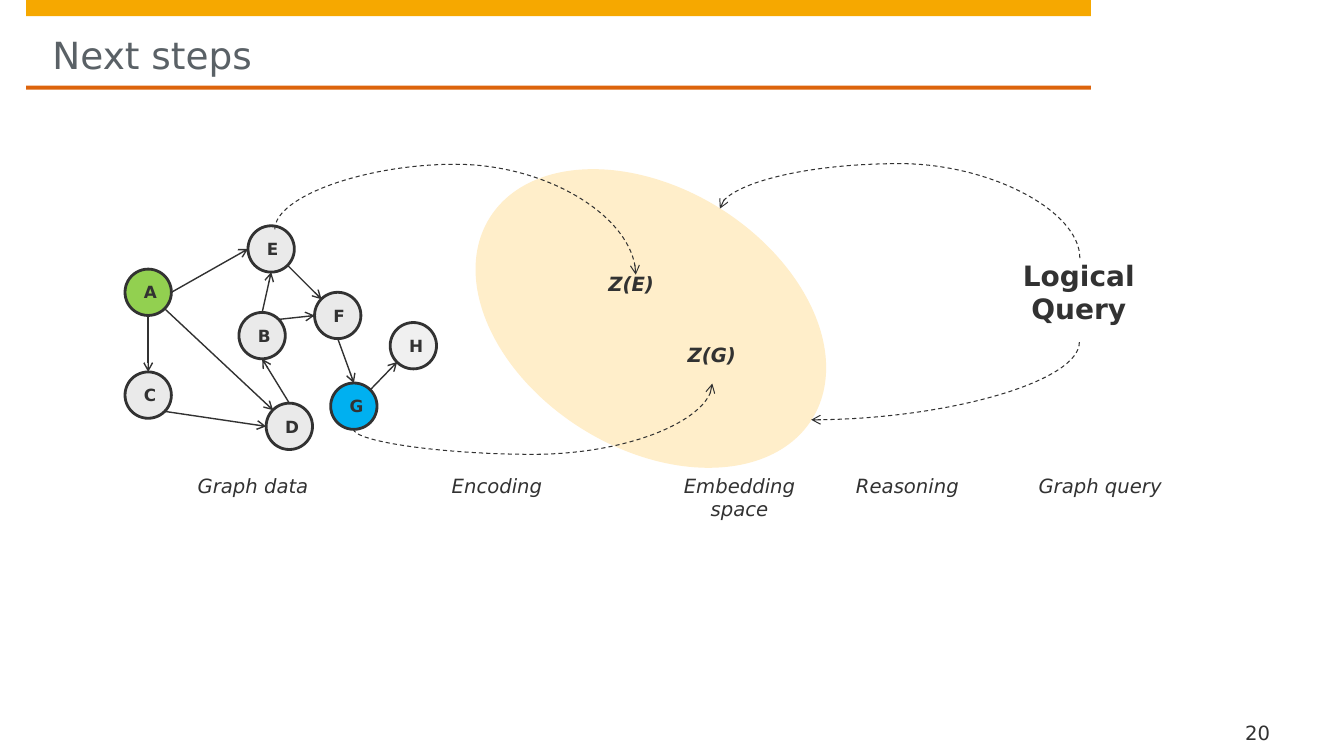
import lxml.etree
import pptx
import pptx.dml.color
import pptx.enum.dml
import pptx.enum.shapes
import pptx.enum.text
import pptx.oxml.ns
import pptx.util

Inches = pptx.util.Inches
Pt = pptx.util.Pt
RGBColor = pptx.dml.color.RGBColor
SHAPE = pptx.enum.shapes.MSO_SHAPE
CONNECTOR = pptx.enum.shapes.MSO_CONNECTOR
ALIGN = pptx.enum.text.PP_ALIGN
ANCHOR = pptx.enum.text.MSO_ANCHOR
qn = pptx.oxml.ns.qn

INK = RGBColor(0x32, 0x32, 0x32)
TITLE_GREY = RGBColor(0x5A, 0x61, 0x66)
AMBER = RGBColor(0xF6, 0xA8, 0x00)
ORANGE = RGBColor(0xDD, 0x64, 0x0C)
CREAM = RGBColor(0xFF, 0xEE, 0xCA)
GREEN = RGBColor(0x92, 0xD0, 0x50)
BLUE = RGBColor(0x00, 0xB0, 0xF0)
NODE_GREY = RGBColor(0xEA, 0xEA, 0xEA)
PALE_GREY = RGBColor(0xF0, 0xF0, 0xF0)

FONT = "DejaVu Sans"
NODE_SIZE = 0.46
DIAGONAL = 0.35
SITES = {
    "top": (0, -0.5), "bottom": (0, 0.5), "left": (-0.5, 0), "right": (0.5, 0),
    "top left": (-DIAGONAL, -DIAGONAL), "top right": (DIAGONAL, -DIAGONAL),
    "bottom left": (-DIAGONAL, DIAGONAL), "bottom right": (DIAGONAL, DIAGONAL),
}

NODES = {
    "A": (1.24, 2.67, GREEN), "C": (1.24, 3.69, NODE_GREY),
    "B": (2.37, 3.1, NODE_GREY), "D": (2.64, 4, NODE_GREY),
    "E": (2.46, 2.24, NODE_GREY), "F": (3.12, 2.9, NODE_GREY),
    "G": (3.28, 3.8, BLUE), "H": (3.87, 3.2, PALE_GREY),
}
EDGES = [
    ("A", "bottom", "C", "top"), ("B", "top", "E", "bottom"),
    ("B", "top right", "F", "left"), ("E", "bottom right", "F", "top left"),
    ("C", "bottom right", "D", "left"), ("A", "bottom right", "D", "top left"),
    ("G", "top right", "H", "bottom left"), ("A", "right", "E", "left"),
    ("D", "top", "B", "bottom"), ("F", "bottom", "G", "top"),
]
CURVES = [
    ((4.29, 0.71, 0.45, 3.58), 270, "h", "curvedConnector3", -143500),
    ((5.06, 2.25, 0.45, 3.56), 90, "hv", "curvedConnector3", -56100),
    ((8.99, 2.45, 0.77, 2.66), 90, "", "curvedConnector2", None),
    ((8.68, 0.53, 0.49, 3.57), 270, "v", "curvedConnector3", 191100),
]
CAPTIONS = [
    ("Graph data", 1.96, 1.75, ALIGN.LEFT),
    ("Encoding", 4.48, 1.78, ALIGN.LEFT),
    ("Embedding space", 6.58, 1.51, ALIGN.CENTER),
    ("Reasoning", 8.49, 1.24, ALIGN.LEFT),
    ("Graph query", 10.3, 1.39, ALIGN.LEFT),
]


def write(frame, text, size=14, color=INK, bold=False, italic=False,
          align=ALIGN.LEFT, anchor=ANCHOR.TOP, insets=(0, 0, 0, 0)):
    frame.word_wrap = True
    frame.vertical_anchor = anchor
    frame.margin_left, frame.margin_top, frame.margin_right, frame.margin_bottom = map(Inches, insets)
    para = frame.paragraphs[0]
    para.alignment = align
    span = para.add_run()
    span.text = text
    span.font.name = FONT
    span.font.size = Pt(size)
    span.font.bold = bold
    span.font.italic = italic
    span.font.color.rgb = color


class Board:
    """Draws styled elements on the current slide."""

    def __init__(self, page):
        self.page = page

    def shape(self, kind, place, fill, rotation=0):
        shape = self.page.shapes.add_shape(kind, *map(Inches, place))
        shape.shadow.inherit = False
        shape.fill.solid()
        shape.fill.fore_color.rgb = fill
        shape.line.fill.background()
        shape.rotation = rotation
        return shape

    def text(self, text, place, **style):
        box = self.page.shapes.add_textbox(*map(Inches, place))
        write(box.text_frame, text, **style)

    def node(self, letter, left, top, fill):
        circle = self.shape(SHAPE.OVAL, (left, top, NODE_SIZE, NODE_SIZE), fill)
        circle.line.color.rgb = INK
        circle.line.width = Pt(2)
        write(circle.text_frame, letter, size=12, bold=True, align=ALIGN.CENTER,
              anchor=ANCHOR.MIDDLE, insets=(0.12, 0.08, 0.12, 0.08))

    def arrow(self, kind, begin, end, width=1, dash=None):
        arrow = self.page.shapes.add_connector(kind, *map(Inches, (*begin, *end)))
        arrow.line.color.rgb = INK
        arrow.line.width = Pt(width)
        if dash:
            arrow.line.dash_style = dash
        properties = arrow.element.spPr
        outline = properties.find(qn("a:ln"))
        lxml.etree.SubElement(outline, qn("a:tailEnd"), type="arrow")
        lxml.etree.SubElement(properties, qn("a:effectLst"))
        return arrow

    def curve(self, place, rotation, flips, preset, bend):
        left, top, width, height = place
        xs = (left, left + width)
        ys = (top, top + height)
        if "h" in flips:
            xs = xs[::-1]
        if "v" in flips:
            ys = ys[::-1]
        arrow = self.arrow(CONNECTOR.CURVE, (xs[0], ys[0]), (xs[1], ys[1]),
                           width=0.75, dash=pptx.enum.dml.MSO_LINE.DASH)
        properties = arrow.element.spPr
        properties.find(qn("a:xfrm")).set("rot", str(rotation * 60000))
        geometry = properties.find(qn("a:prstGeom"))
        geometry.set("prst", preset)
        if bend is not None:
            lxml.etree.SubElement(geometry.find(qn("a:avLst")), qn("a:gd"),
                                  name="adj1", fmla=f"val {bend}")


def site_point(letter, site):
    left, top, _ = NODES[letter]
    across, down = SITES[site]
    return left + NODE_SIZE * (0.5 + across), top + NODE_SIZE * (0.5 + down)


def main():
    deck = pptx.Presentation()
    deck.slide_width = Inches(13.33)
    deck.slide_height = Inches(7.5)
    board = Board(deck.slides.add_slide(deck.slide_layouts[6]))

    board.shape(SHAPE.RECTANGLE, (0.26, 0, 10.56, 0.16), AMBER)
    board.shape(SHAPE.RECTANGLE, (0.26, 0.85, 10.56, 0.04), ORANGE)
    board.text("Next steps", (0.52, 0.16, 10.03, 0.61), size=26.7,
               color=TITLE_GREY, insets=(0, 0.16, 0, 0))
    board.text("20", (12.23, 7.09, 0.84, 0.29), anchor=ANCHOR.BOTTOM,
               insets=(0.12, 0, 0, 0))

    for letter, (left, top, fill) in NODES.items():
        board.node(letter, left, top, fill)
    for source, source_site, target, target_site in EDGES:
        board.arrow(CONNECTOR.STRAIGHT, site_point(source, source_site),
                    site_point(target, target_site))

    board.shape(SHAPE.OVAL, (4.57, 1.87, 3.77, 2.58), CREAM, rotation=32)
    board.text("Z(E)", (5.37, 2.7, 1.78, 0.27), bold=True, italic=True, align=ALIGN.CENTER)
    board.text("Z(G)", (6.49, 3.4, 1.14, 0.41), bold=True, italic=True, align=ALIGN.CENTER)
    board.text("Logical Query", (9.81, 2.56, 1.78, 0.84), size=20, bold=True,
               align=ALIGN.CENTER)
    for curve in CURVES:
        board.curve(*curve)
    for caption, left, width, align in CAPTIONS:
        board.text(caption, (left, 4.7, width, 0.41), italic=True, align=align)

    deck.save("out.pptx")


if __name__ == "__main__":
    main()
